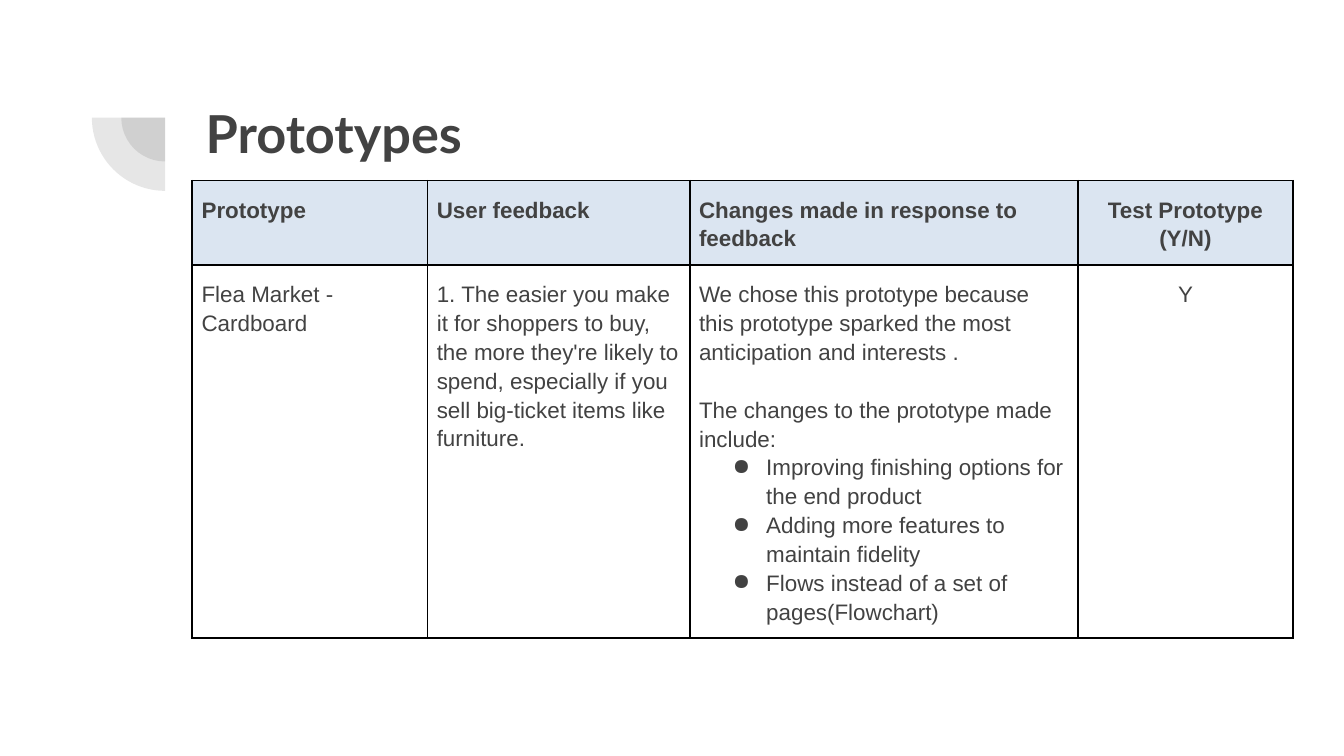
"""Build the Prototypes slide: a title, a corner ornament and a feedback table."""
from dataclasses import dataclass

from lxml.etree import SubElement
from pptx import Presentation
from pptx.dml.color import RGBColor
from pptx.enum.shapes import MSO_SHAPE
from pptx.enum.text import MSO_ANCHOR, MSO_AUTO_SIZE, PP_ALIGN
from pptx.oxml import parse_xml
from pptx.oxml.ns import nsdecls, qn
from pptx.util import Pt


@dataclass(frozen=True)
class Theme:
    ink: RGBColor = RGBColor.from_string("424242")
    header: RGBColor = RGBColor.from_string("DBE5F1")
    border: str = "000000"
    title_font: str = "Lato"
    body_font: str = "Arial"
    title_size: Pt = Pt(28)
    body_size: Pt = Pt(12)


def style(paragraph, font_name, size, bold):
    font = paragraph.font
    font.name, font.size, font.bold = font_name, size, bold
    font.color.rgb = theme.ink


def add_borders(cell):
    properties = cell._tc.get_or_add_tcPr()
    for side in ("lnL", "lnR", "lnT", "lnB"):
        properties.append(parse_xml(
            f'<a:{side} {nsdecls("a")} w="{Pt(1)}"><a:solidFill>'
            f'<a:srgbClr val="{theme.border}"/></a:solidFill></a:{side}>'))


theme = Theme()
columns = [
    ("Prototype", 126, PP_ALIGN.LEFT, ["Flea Market - Cardboard"]),
    ("User feedback", 140.5, PP_ALIGN.LEFT, [
        "1. The easier you make it for shoppers to buy, the more they're likely "
        "to spend, especially if you sell big-ticket items like furniture."]),
    ("Changes made in response to feedback", 208, PP_ALIGN.LEFT, [
        "We chose this prototype because this prototype sparked the most "
        "anticipation and interests .",
        "The changes to the prototype made include:"]),
    ("Test Prototype (Y/N)", 115.2, PP_ALIGN.CENTER, ["Y"]),
]
changes = [
    "Improving finishing options for the end product",
    "Adding more features to maintain fidelity",
    "Flows instead of a set of pages(Flowchart)",
]

presentation = Presentation()
presentation.slide_width, presentation.slide_height = Pt(720), Pt(405)
slide = presentation.slides.add_slide(presentation.slide_layouts[5])

for diameter in (47, 78.5):
    corner_x, corner_y = 88.5, 63
    quarter = slide.shapes.add_shape(
        MSO_SHAPE.PIE, Pt(corner_x - diameter / 2), Pt(corner_y - diameter / 2),
        Pt(diameter), Pt(diameter))
    quarter.adjustments[0], quarter.adjustments[1] = 108, 162
    quarter.rotation = 270
    quarter.shadow.inherit = False
    quarter.line.fill.background()
    quarter.fill.solid()
    quarter.fill.fore_color.rgb = theme.ink
    color = quarter._element.spPr.find(qn("a:solidFill"))[0]
    SubElement(color, qn("a:alpha"), val="13000")

title = slide.shapes.title
title.left, title.top, title.width, title.height = Pt(103), Pt(47), Pt(554), Pt(78)
heading = title.text_frame
heading.text = "Prototypes"
heading.auto_size = MSO_AUTO_SIZE.NONE
heading.vertical_anchor = MSO_ANCHOR.TOP
heading.margin_left = heading.margin_right = Pt(7.2)
heading.margin_top = heading.margin_bottom = Pt(7.2)
heading.paragraphs[0].alignment = PP_ALIGN.LEFT
style(heading.paragraphs[0], theme.title_font, theme.title_size, True)

total_width = sum(width for _, width, _, _ in columns)
table = slide.shapes.add_table(
    2, len(columns), Pt(103), Pt(96.75), Pt(total_width), Pt(245)).table
table.rows[0].height, table.rows[1].height = Pt(45.25), Pt(199.75)

for index, (label, width, alignment, feedback) in enumerate(columns):
    table.columns[index].width = Pt(width)
    for row, lines in enumerate(([label], feedback)):
        cell = table.cell(row, index)
        add_borders(cell)
        if row == 0:
            cell.fill.solid()
            cell.fill.fore_color.rgb = theme.header
        else:
            cell.fill.background()
        cell.margin_left = cell.margin_right = Pt(5)
        cell.margin_top = cell.margin_bottom = Pt(7.2)
        cell.text = "\n".join(lines)
        for position, paragraph in enumerate(cell.text_frame.paragraphs):
            paragraph.alignment = alignment
            paragraph.line_spacing = 1.15
            if position:
                paragraph.space_before = Pt(15.5)
            style(paragraph, theme.body_font, theme.body_size, row == 0)

changes_frame = table.cell(1, 2).text_frame
for change in changes:
    paragraph = changes_frame.add_paragraph()
    paragraph.text = change
    paragraph.line_spacing = 1.15
    properties = paragraph._p.get_or_add_pPr()
    properties.set("marL", str(Pt(36)))
    properties.set("indent", str(Pt(-18)))
    SubElement(properties, qn("a:buChar"), char="●")
    style(paragraph, theme.body_font, theme.body_size, False)

presentation.save("out.pptx")
